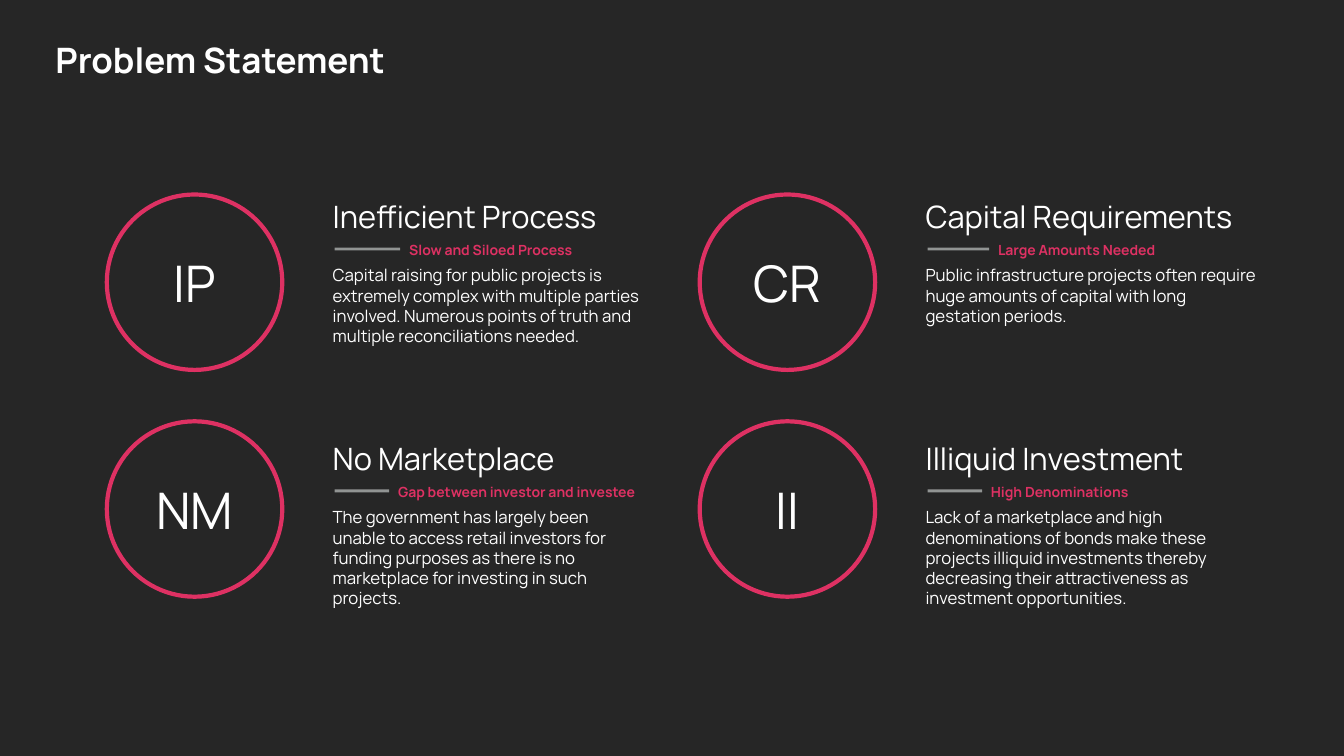
from lxml.etree import SubElement
from pptx import Presentation
from pptx.dml.color import RGBColor
from pptx.enum.shapes import MSO_CONNECTOR as Connector, MSO_SHAPE as Shape
from pptx.enum.text import MSO_ANCHOR as Anchor, MSO_AUTO_SIZE as AutoSize, PP_ALIGN as Align
from pptx.oxml.ns import qn
from pptx.util import Inches, Pt

# Content, row by row: initials, heading, rule length, tag, body width, body
TITLE = "Problem Statement"
PROBLEMS = [
    [("IP", "Inefficient Process", 0.65, "Slow and Siloed Process", 3.14,
      "Capital raising for public projects is extremely complex with multiple parties "
      "involved. Numerous points of truth and multiple reconciliations needed."),
     ("CR", "Capital Requirements", 0.61, "Large Amounts Needed", 3.36,
      "Public infrastructure projects often require huge amounts of capital with long "
      "gestation periods.")],
    [("NM", "No Marketplace", 0.54, "Gap between investor and investee", 3.14,
      "The government has largely been unable to access retail investors for funding "
      "purposes as there is no marketplace for investing in such projects."),
     ("II", "Illiquid Investment", 0.54, "High Denominations", 3.14,
      "Lack of a marketplace and high denominations of bonds make these projects illiquid "
      "investments thereby decreasing their attractiveness as investment opportunities.")],
]

# Look
FONT = "Manrope"
DARK, WHITE, CERISE, GREY = "262626", "FFFFFF", "DE3163", "A6AAA9"

# Grid, in inches
LEFT, COLUMN_STEP = 1.06, 5.88
CIRCLE_TOP, CIRCLE_STEP, CIRCLE = 1.93, 2.25, 1.74
TEXT_INDENT, TEXT_TOP, TEXT_STEP = 2.2, 1.92, 2.4
TAG_DROP, BODY_DROP = 0.43, 0.67
INITIALS_WIDTH, INITIALS_HEIGHT = 1.04, 0.68


def rgb(color):
    return RGBColor.from_string(color)


def style(paragraph, size, color, bold=False):
    font = paragraph.font
    font.name, font.size, font.bold = FONT, Pt(size), bold
    font.color.rgb = rgb(color)


def add_text(shapes, text, left, top, width, height, size, color=WHITE,
             bold=False, inset=0.04, wrap=True):
    box = shapes.add_textbox(Inches(left), Inches(top), Inches(width), Inches(height))
    frame = box.text_frame
    frame.word_wrap, frame.auto_size = wrap, AutoSize.SHAPE_TO_FIT_TEXT
    frame.margin_left = frame.margin_right = Inches(inset)
    frame.margin_top = frame.margin_bottom = Inches(min(inset, 0.05))
    frame.text = text
    style(frame.paragraphs[0], size, color, bold)
    return frame


def add_circle(shapes, left, top, initials):
    circle = shapes.add_shape(Shape.OVAL, Inches(left), Inches(top),
                              Inches(CIRCLE), Inches(CIRCLE))
    circle.shadow.inherit = False
    circle.fill.background()
    circle.line.color.rgb, circle.line.width = rgb(CERISE), Pt(3)
    frame = add_text(shapes, initials, left + (CIRCLE - INITIALS_WIDTH) / 2,
                     top + (CIRCLE - INITIALS_HEIGHT) / 2,
                     INITIALS_WIDTH, INITIALS_HEIGHT, 36, wrap=False)
    frame.vertical_anchor = Anchor.MIDDLE
    frame.paragraphs[0].alignment = Align.CENTER


def add_tag(shapes, left, top, rule_length, tag):
    group = shapes.add_group_shape().shapes
    rule_y = Inches(top + 0.12)
    rule = group.add_connector(Connector.STRAIGHT, Inches(left), rule_y,
                               Inches(left + rule_length), rule_y)
    rule.line.color.rgb, rule.line.width = rgb(GREY), Pt(2)
    properties = rule._element.spPr
    SubElement(next(properties.iter(qn("a:srgbClr"))), qn("a:alpha"), val="84000")
    SubElement(properties, qn("a:effectLst"))
    add_text(group, tag, left + rule_length - 0.01, top, 2.82, 0.27, 10,
             CERISE, bold=True, inset=0.1)


def main():
    deck = Presentation()
    deck.slide_width, deck.slide_height = Inches(13.33), Inches(7.5)
    slide = deck.slides.add_slide(deck.slide_layouts[5])
    slide.background.fill.solid()
    slide.background.fill.fore_color.rgb = rgb(DARK)

    # Title
    title = slide.shapes.title
    title.left, title.top, title.width, title.height = map(Inches, (0.45, 0, 10.92, 1.24))
    title.text_frame.text = TITLE
    title.text_frame.vertical_anchor = Anchor.MIDDLE
    heading = title.text_frame.paragraphs[0]
    heading.alignment, heading.line_spacing = Align.LEFT, 0.9
    style(heading, 25, WHITE, bold=True)

    # Problems
    for row, problems in enumerate(PROBLEMS):
        text_top = TEXT_TOP + row * TEXT_STEP
        for column, (initials, name, rule_length, tag, body_width, body) in enumerate(problems):
            left = LEFT + column * COLUMN_STEP
            text_left = left + TEXT_INDENT
            add_circle(slide.shapes, left, CIRCLE_TOP + row * CIRCLE_STEP, initials)
            add_text(slide.shapes, body, text_left, text_top + BODY_DROP, body_width, 1.09, 12)
            add_text(slide.shapes, name, text_left, text_top, 3.15, 0.45, 22)
            add_tag(slide.shapes, text_left + 0.06, text_top + TAG_DROP, rule_length, tag)

    deck.save("out.pptx")


if __name__ == "__main__":
    main()
